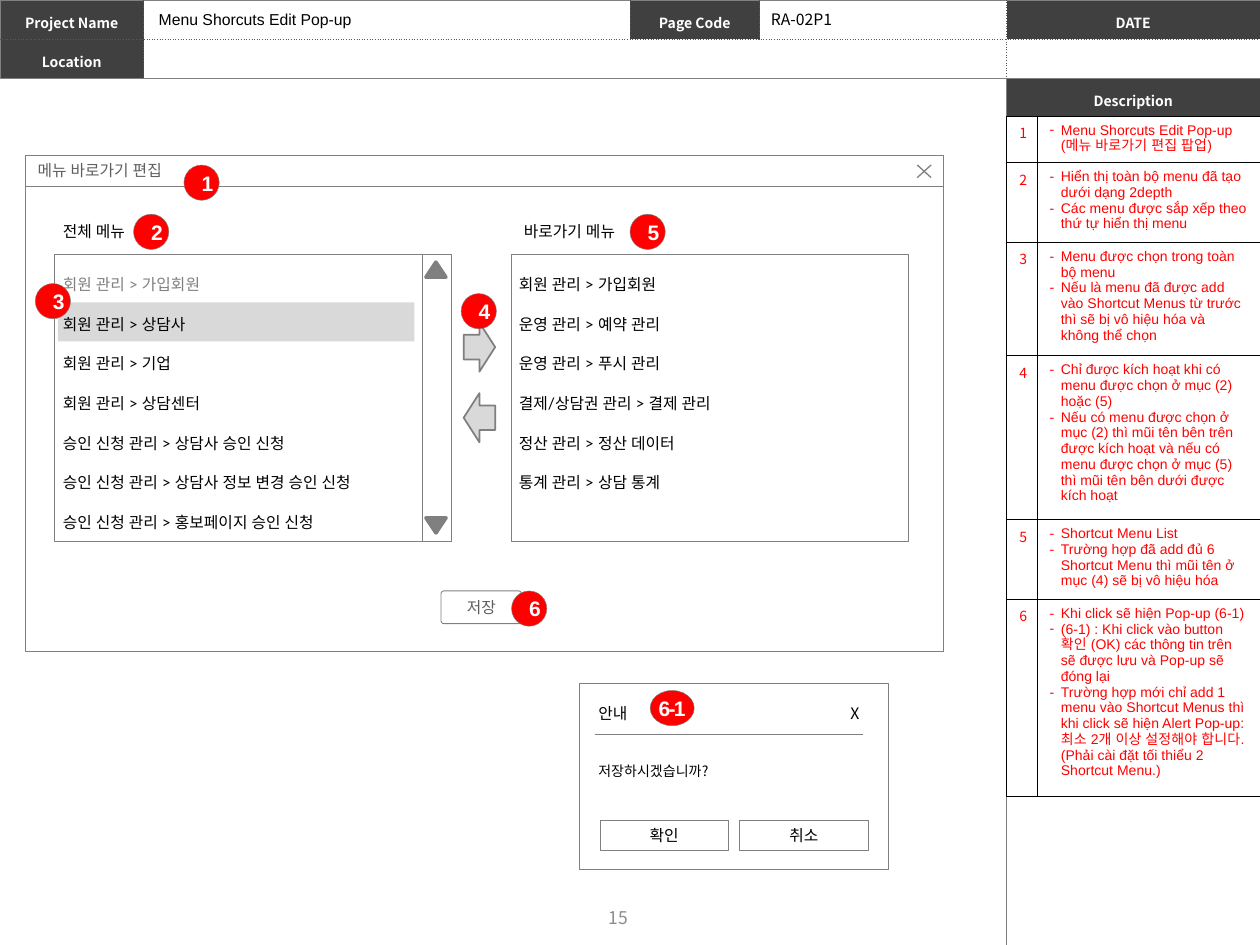
from dataclasses import dataclass, replace
from typing import Optional

from lxml import etree
from pptx import Presentation
from pptx.dml.color import RGBColor
from pptx.enum.shapes import MSO_CONNECTOR, MSO_SHAPE
from pptx.enum.text import MSO_ANCHOR, PP_ALIGN
from pptx.oxml.ns import qn
from pptx.util import Inches, Pt

RECT, ROUND, OVAL = MSO_SHAPE.RECTANGLE, MSO_SHAPE.ROUNDED_RECTANGLE, MSO_SHAPE.OVAL
TRIANGLE, RIGHT, LEFT_ARROW = MSO_SHAPE.ISOSCELES_TRIANGLE, MSO_SHAPE.RIGHT_ARROW, MSO_SHAPE.LEFT_ARROW
TOP, MIDDLE = MSO_ANCHOR.TOP, MSO_ANCHOR.MIDDLE
LEFT, CENTER = PP_ALIGN.LEFT, PP_ALIGN.CENTER


@dataclass(frozen=True)
class Theme:
    white: str = "FFFFFF"
    black: str = "000000"
    dark: str = "404040"
    gray: str = "808080"
    arrow_line: str = "7F7F7F"
    dotted: str = "595959"
    label: str = "5F5F5F"
    page: str = "8C8C8C"
    light: str = "D9D9D9"
    red: str = "FF0000"
    cjk: str = "Noto Sans CJK KR"
    wire: str = "Lato"
    latin: str = "Arial"
    small: float = 8
    body: float = 9
    number: float = 10
    badge: float = 12


T = Theme()


@dataclass(frozen=True)
class Style:
    font: str
    size: float
    color: str
    bold: bool = False
    align: PP_ALIGN = LEFT
    anchor: MSO_ANCHOR = MIDDLE
    spacing: Optional[float] = None
    tracking: float = 0


@dataclass(frozen=True)
class Border:
    color: str
    dash: str = "solid"


@dataclass(frozen=True)
class Badge:
    label: str
    left: float
    top: float


MENU = Style(T.wire, T.body, T.black)
MUTED = replace(MENU, color=T.gray)
WINDOW_TITLE = replace(MENU, color=T.label, anchor=TOP)
SAVE = replace(MENU, color=T.label, align=CENTER)
HEAD = Style(T.cjk, T.small, T.white, bold=True, align=CENTER, spacing=1.3)
DIALOG = Style(T.cjk, T.body, T.black, anchor=TOP, spacing=1.3)
BUTTON = Style(T.cjk, T.body, T.black, align=CENTER)
BADGE = Style(T.latin, T.badge, T.white, bold=True, align=CENTER)
NUMBER = Style(T.cjk, T.small, T.red, anchor=TOP)
NOTE = replace(NUMBER, font=T.latin)
SOLID, DOTTED, BLACK = Border(T.gray), Border(T.dotted, "sysDot"), Border(T.black)

ROW_STEP = 0.315
ALL_MENUS = ["회원 관리 > 가입회원", "회원 관리 > 상담사", "회원 관리 > 기업", "회원 관리 > 상담센터",
             "승인 신청 관리 > 상담사 승인 신청", "승인 신청 관리 > 상담사 정보 변경 승인 신청",
             "승인 신청 관리 > 홍보페이지 승인 신청"]
SHORTCUTS = ["회원 관리 > 가입회원", "운영 관리 > 예약 관리", "운영 관리 > 푸시 관리",
             "결제/상담권 관리 > 결제 관리", "정산 관리 > 정산 데이터", "통계 관리 > 상담 통계"]
BADGES = [Badge("1", 1.46, 1.31), Badge("2", 1.06, 1.7), Badge("3", 0.28, 2.25),
          Badge("4", 3.66, 2.33), Badge("5", 5, 1.7), Badge("6", 4.06, 4.69)]
NOTES = [
    (0.37, ["Menu Shorcuts Edit Pop-up (메뉴 바로가기 편집 팝업)"]),
    (0.63, ["Hiển thị toàn bộ menu đã tạo dưới dạng 2depth",
            "Các menu được sắp xếp theo thứ tự hiển thị menu"]),
    (0.9, ["Menu được chọn trong toàn bộ menu",
           "Nếu là menu đã được add vào Shortcut Menus từ trước thì sẽ bị vô hiệu hóa và không thể chọn"]),
    (1.3, ["Chỉ được kích hoạt khi có menu được chọn ở mục (2) hoặc (5)",
           "Nếu có menu được chọn ở mục (2) thì mũi tên bên trên được kích hoạt và nếu có menu "
           "được chọn ở mục (5) thì mũi tên bên dưới được kích hoạt"]),
    (0.63, ["Shortcut Menu List",
            "Trường hợp đã add đủ 6 Shortcut Menu thì mũi tên ở mục (4) sẽ bị vô hiệu hóa"]),
    (1.56, ["Khi click sẽ hiện Pop-up (6-1)",
            "(6-1) : Khi click vào button 확인 (OK) các thông tin trên sẽ được lưu và Pop-up sẽ đóng lại",
            "Trường hợp mới chỉ add 1 menu vào Shortcut Menus thì khi click sẽ hiện Alert Pop-up: "
            "최소 2개 이상 설정해야 합니다. (Phải cài đặt tối thiểu 2 Shortcut Menu.)"]),
]


def rgb(color: str) -> RGBColor:
    return RGBColor.from_string(color)


def write(tf, lines: list[str], style: Style, bullet: bool = False) -> None:
    for i, line in enumerate(lines):
        p = tf.add_paragraph() if i else tf.paragraphs[0]
        if bullet:
            pPr = p._p.get_or_add_pPr()
            pPr.set("marL", str(Inches(0.09)))
            pPr.set("indent", str(-Inches(0.09)))
            etree.SubElement(pPr, qn("a:buFont")).set("typeface", style.font)
            etree.SubElement(pPr, qn("a:buChar")).set("char", "-")
        p.alignment = style.align
        if style.spacing:
            p.line_spacing = style.spacing
        r = p.add_run()
        r.text = line
        for name, value in {"name": style.font, "size": Pt(style.size), "bold": style.bold}.items():
            setattr(r.font, name, value)
        r.font.color.rgb = rgb(style.color)
        rPr = r._r.get_or_add_rPr()
        etree.SubElement(rPr, qn("a:ea")).set("typeface", style.font)
        if style.tracking:
            rPr.set("spc", str(round(style.tracking * 100)))


def fill_frame(tf, text: str, style: Style, wrap: bool = True) -> None:
    for name, value in {"word_wrap": wrap, "vertical_anchor": style.anchor}.items():
        setattr(tf, name, value)
    write(tf, [text], style)


def add_text(s, box: tuple, text: str, style: Style, wrap: bool = True) -> None:
    fill_frame(s.shapes.add_textbox(*map(Inches, box)).text_frame, text, style, wrap)


def add_box(s, kind, box: tuple, fill: Optional[str] = T.white, line: Optional[str] = T.gray,
            width: float = 0.5, text: str = "", style: Style = MENU):
    sp = s.shapes.add_shape(kind, *map(Inches, box))
    sp.shadow.inherit = False
    for target, color in ((sp.fill, fill), (sp.line.fill, line)):
        if color:
            target.solid()
            target.fore_color.rgb = rgb(color)
        else:
            target.background()
    if line:
        sp.line.width = Pt(width)
    if text:
        fill_frame(sp.text_frame, text, style)
    return sp


def add_table(s, left: float, top: float, cols: list[float], rows: list[float]):
    frame = s.shapes.add_table(len(rows), len(cols), *map(Inches, (left, top, sum(cols), sum(rows))))
    for column, width in zip(frame.table.columns, cols):
        column.width = Inches(width)
    for row, height in zip(frame.table.rows, rows):
        row.height = Inches(height)
    return frame.table


def format_cell(cell, fill: Optional[str], borders: dict[str, Border]) -> None:
    """Set borders (keys L, R, T, B) first, since the fill must follow them in the XML."""
    tcPr = cell._tc.get_or_add_tcPr()
    for side in "LRTB":
        ln = etree.SubElement(tcPr, qn(f"a:ln{side}"), w=str(Pt(0.5)))
        color = etree.SubElement(etree.SubElement(ln, qn("a:solidFill")), qn("a:srgbClr"))
        color.set("val", borders[side].color)
        etree.SubElement(ln, qn("a:prstDash")).set("val", borders[side].dash)
    if fill:
        cell.fill.solid()
        cell.fill.fore_color.rgb = rgb(fill)
    else:
        cell.fill.background()


def add_frame_table(s, left: float, top: float, cols: list[float], rows: list[float],
                    labels: dict, span: bool = False) -> None:
    """Draw a table with solid outer edges, dotted inner ones and dark label cells."""
    table = add_table(s, left, top, cols, rows)
    last_row, last_col = len(rows) - 1, len(cols) - 1
    for i in range(len(rows)):
        for j in range(len(cols)):
            cell, label = table.cell(i, j), labels.get((i, j))
            edges = {"L": j == 0, "R": j == last_col, "T": i == 0, "B": i == last_row}
            format_cell(cell, T.dark if label else None,
                        {side: SOLID if outer else DOTTED for side, outer in edges.items()})
            for side in ("left", "right", "top", "bottom"):
                setattr(cell, f"margin_{side}", Inches(0.04))
            if label:
                cell.vertical_anchor = HEAD.anchor
                write(cell.text_frame, [label], HEAD)
            else:
                etree.SubElement(cell.text_frame.paragraphs[0]._p, qn("a:endParaRPr"), sz=str(T.small * 100))
    if span:
        table.cell(1, 1).merge(table.cell(1, 3))


def add_notes_table(s) -> None:
    table = add_table(s, 7.99, 0.92, [0.23, 1.77], [height for height, _ in NOTES])
    for i, (_, lines) in enumerate(NOTES):
        for j in range(2):
            format_cell(table.cell(i, j), T.white, dict.fromkeys("LRTB", BLACK))
        write(table.cell(i, 0).text_frame, [str(i + 1)], NUMBER)
        write(table.cell(i, 1).text_frame, lines, NOTE, bullet=True)


def add_close_icon(s, left: float, top: float, width: float, height: float) -> None:
    x1, y1, x2, y2 = map(Inches, (left, top, left + width, top + height))
    builder = s.shapes.build_freeform(x2, y1)
    builder.add_line_segments([(x1, y2)], close=False)
    builder.move_to(x1, y1)
    builder.add_line_segments([(x2, y2)], close=False)
    sp = builder.convert_to_shape()
    sp.shadow.inherit = False
    sp.fill.background()
    sp.line.color.rgb = rgb(T.gray)
    sp.line.width = Pt(0.75)


def add_menu_list(s, left: float, items: list[str], disabled: int = 0) -> None:
    for i, item in enumerate(items):
        add_text(s, (left, 2.1 + i * ROW_STEP, 3.15, 0.31), item, MUTED if i < disabled else MENU)


def add_edit_window(s) -> None:
    add_box(s, RECT, (0.2, 1.48, 7.29, 3.69))
    add_box(s, RECT, (0.2, 1.23, 7.29, 0.25), text="메뉴 바로가기 편집", style=WINDOW_TITLE)
    add_close_icon(s, 7.28, 1.31, 0.11, 0.1)
    for left, label_left, label in ((0.43, 0.4, "전체 메뉴"), (4.06, 4.06, "바로가기 메뉴")):
        add_box(s, RECT, (left, 2.02, 3.15, 2.28))
        add_box(s, RECT, (label_left, 1.68, 3.15, 0.31), line=None, text=label)
    add_box(s, RECT, (0.46, 2.4, 2.83, 0.31), T.light, None)
    add_menu_list(s, 0.4, ALL_MENUS, disabled=1)
    add_menu_list(s, 4.02, SHORTCUTS)
    save = add_box(s, ROUND, (3.5, 4.69, 0.64, 0.26), text="저장", style=SAVE)
    save.adjustments[0] = 0.09
    for kind, top in ((RIGHT, 2.56), (LEFT_ARROW, 3.12)):
        add_box(s, kind, (3.68, top, 0.25, 0.39), T.light, T.arrow_line, 1)
    add_box(s, RECT, (3.35, 2.02, 0.23, 2.28), None)
    for top, angle in ((2.08, 0), (4.11, 180)):
        add_box(s, TRIANGLE, (3.38, top, 0.16, 0.12), T.gray, T.arrow_line, 2).rotation = angle


def add_confirm_dialog(s) -> None:
    add_box(s, RECT, (4.6, 5.42, 2.45, 1.48), width=0.25)
    for left, label in ((4.76, "확인"), (5.87, "취소")):
        add_box(s, RECT, (left, 6.51, 1.02, 0.24), width=0.25, text=label, style=BUTTON)
    rule = s.shapes.add_connector(MSO_CONNECTOR.STRAIGHT, *map(Inches, (4.72, 5.83, 6.85, 5.83)))
    rule.line.color.rgb = rgb(T.gray)
    rule.line.width = Pt(0.75)
    etree.SubElement(rule._element.spPr, qn("a:effectLst"))
    add_text(s, (4.65, 5.49, 1.35, 0.28), "안내", DIALOG)
    add_text(s, (4.65, 5.96, 2.08, 0.28), "저장하시겠습니까?", replace(DIALOG, size=T.small))
    add_text(s, (6.65, 5.49, 0.33, 0.3), "X", DIALOG)


def add_badges(s) -> None:
    for b in BADGES:
        add_box(s, OVAL, (b.left, b.top, 0.28, 0.28), T.red, width=0.25, text=b.label, style=BADGE)
    sp = add_box(s, OVAL, (5.16, 5.48, 0.35, 0.28), T.red, width=0.25,
                 text="6-1", style=replace(BADGE, tracking=-1))
    for name, value in {"margin_left": Inches(0.04), "margin_right": Inches(0.04), "word_wrap": False}.items():
        setattr(sp.text_frame, name, value)


def add_title(s) -> None:
    title = s.shapes.title
    for name, value in {"left": 1.16, "top": 0.03, "width": 1.8, "height": 0.25}.items():
        setattr(title, name, Inches(value))
    fill_frame(title.text_frame, "Menu Shorcuts Edit Pop-up",
               Style(T.latin, T.body, T.black, anchor=TOP), wrap=False)


def main() -> None:
    prs = Presentation()
    prs.slide_width, prs.slide_height = Inches(10), Inches(7.5)
    s = prs.slides.add_slide(prs.slide_layouts[5])
    add_title(s)
    add_frame_table(s, 0, 0, [1.14, 3.86, 1.03, 1.96, 2.01], [0.31, 0.31],
                    {(0, 0): "Project Name", (0, 2): "Page Code", (0, 4): "DATE", (1, 0): "Location"}, span=True)
    add_frame_table(s, 7.99, 0.62, [2.01], [0.31, 6.57], {(0, 0): "Description"})
    add_text(s, (6.02, 0.03, 0.7, 0.25), "RA-02P1", Style(T.cjk, T.body, T.black, anchor=TOP), wrap=False)
    add_notes_table(s)
    add_edit_window(s)
    add_text(s, (3.74, 7.08, 2.33, 0.4), "15", Style(T.cjk, T.number, T.page, align=CENTER))
    add_confirm_dialog(s)
    add_badges(s)
    prs.save("out.pptx")


if __name__ == "__main__":
    main()
